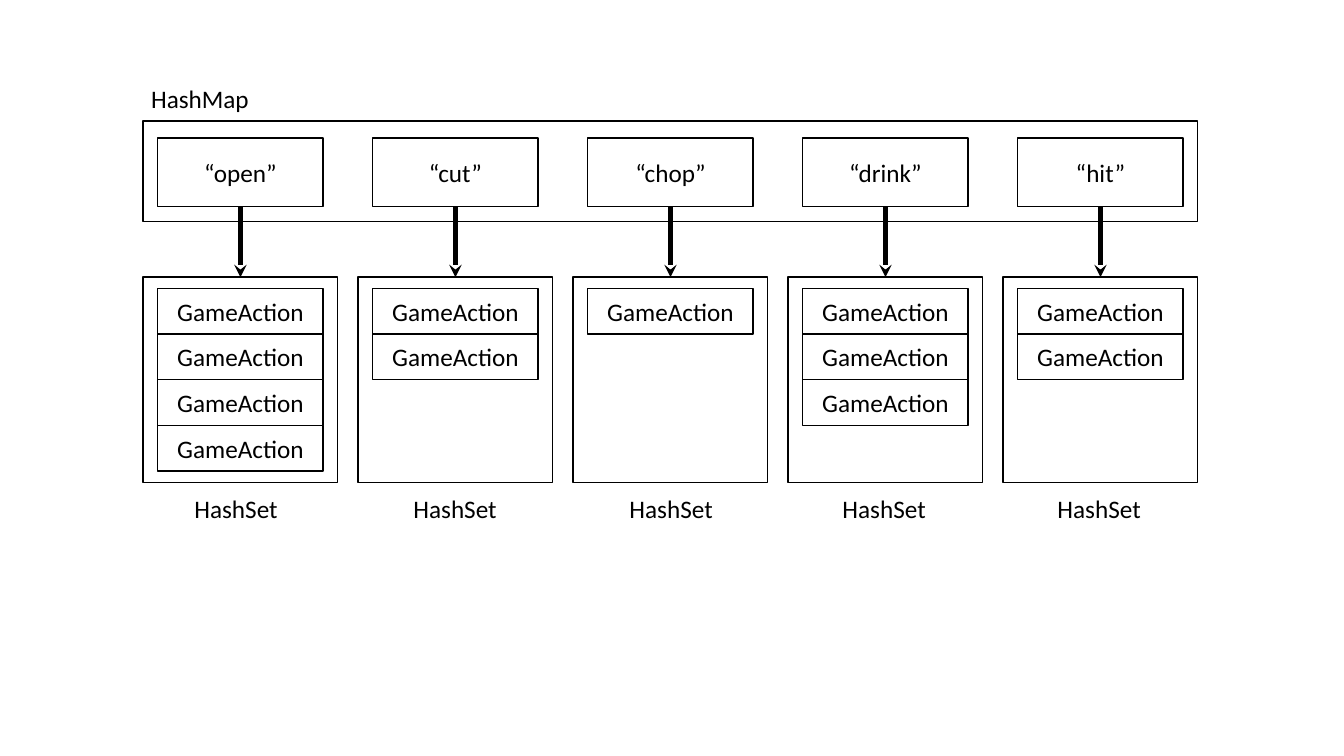
from pptx import Presentation
from pptx.dml.color import RGBColor
from pptx.enum.shapes import MSO_CONNECTOR as CONN, MSO_SHAPE as SHAPE
from pptx.enum.text import MSO_ANCHOR as ANCHOR, MSO_AUTO_SIZE as AUTO, PP_ALIGN as ALIGN
from pptx.oxml.ns import qn
from pptx.util import Inches, Pt
from lxml.etree import SubElement

BLACK, WHITE = "000000", "FFFFFF"
FONT = {"name": "Calibri", "size": Pt(18)}
BOX_TEXT = {"vertical_anchor": ANCHOR.MIDDLE, "word_wrap": True}
LABEL_TEXT = {"word_wrap": False, "auto_size": AUTO.SHAPE_TO_FIT_TEXT}

# Key, number of actions, label offset from the left of its set
ENTRIES = [("“open”", 4, 0.41), ("“cut”", 2, 0.45), ("“chop”", 1, 0.46),
           ("“drink”", 3, 0.44), ("“hit”", 2, 0.44)]

MAP_BOX = (1.42, 1.2, 10.46, 1)
SET_TOP, SET_W, SET_H = 2.75, 1.93, 2.04
PITCH = (MAP_BOX[2] - SET_W) / (len(ENTRIES) - 1)
INSET, CELL_W = 0.145, 1.64
KEY_TOP, KEY_H = 0.17, 0.68
ACTION_TOP, ACTION_H = 0.11, 0.453


def color(hex_code):
    return RGBColor.from_string(hex_code)


def set_format(obj, values):
    for name, value in values.items():
        setattr(obj, name, value)


def write(sp, text, frame_format, align):
    tf = sp.text_frame
    set_format(tf, frame_format)
    p = tf.paragraphs[0]
    p.alignment = align
    r = p.add_run()
    r.text = text
    set_format(r.font, FONT)
    r.font.color.rgb = color(BLACK)


def add_box(shapes, x, y, w, h, text=None):
    sp = shapes.add_shape(SHAPE.RECTANGLE, *map(Inches, (x, y, w, h)))
    sp.shadow.inherit = False
    sp.fill.solid()
    sp.fill.fore_color.rgb = color(WHITE)
    sp.line.color.rgb = color(BLACK)
    sp.line.width = Pt(1)
    if text:
        write(sp, text, BOX_TEXT, ALIGN.CENTER)


def add_label(shapes, x, y, w, text):
    sp = shapes.add_textbox(*map(Inches, (x, y, w, 0.4)))
    write(sp, text, LABEL_TEXT, ALIGN.LEFT)


def add_arrow(shapes, x, top, bottom):
    c = shapes.add_connector(CONN.STRAIGHT, *map(Inches, (x, top, x, bottom)))
    c.line.color.rgb = color(BLACK)
    c.line.width = Pt(3)
    SubElement(c.line._get_or_add_ln(), qn("a:tailEnd"), type="stealth")
    SubElement(c._element.spPr, qn("a:effectLst"))


def add_map(shapes, x, y, w, h):
    """Outer map box with its keys in a row."""
    add_box(shapes, x, y, w, h)
    for i, (key, _, _) in enumerate(ENTRIES):
        add_box(shapes, x + INSET + i * PITCH, y + KEY_TOP, CELL_W, KEY_H, key)
    add_label(shapes, x - 0.02, y - 0.42, 1.18, "HashMap")


def add_set(shapes, x, y, w, h, count, label_dx):
    """One set box with stacked actions and a label below."""
    group = shapes.add_group_shape().shapes
    add_box(group, x, y, w, h)
    for i in range(count):
        add_box(group, x + INSET, y + ACTION_TOP + i * ACTION_H,
                CELL_W, ACTION_H, "GameAction")
    add_label(shapes, x + label_dx, y + h + 0.05, 1.04, "HashSet")


def main():
    prs = Presentation()
    prs.slide_width, prs.slide_height = Inches(13.33), Inches(7.5)
    s = prs.slides.add_slide(prs.slide_layouts[6])

    # Map of keys
    add_map(s.shapes, *MAP_BOX)

    # Sets, each with the arrow from its key
    left, top = MAP_BOX[:2]
    for i, (_, count, label_dx) in enumerate(ENTRIES):
        x = left + i * PITCH
        add_set(s.shapes, x, SET_TOP, SET_W, SET_H, count, label_dx)
        add_arrow(s.shapes, x + SET_W / 2, top + KEY_TOP + KEY_H, SET_TOP)

    prs.save("out.pptx")


if __name__ == "__main__":
    main()
